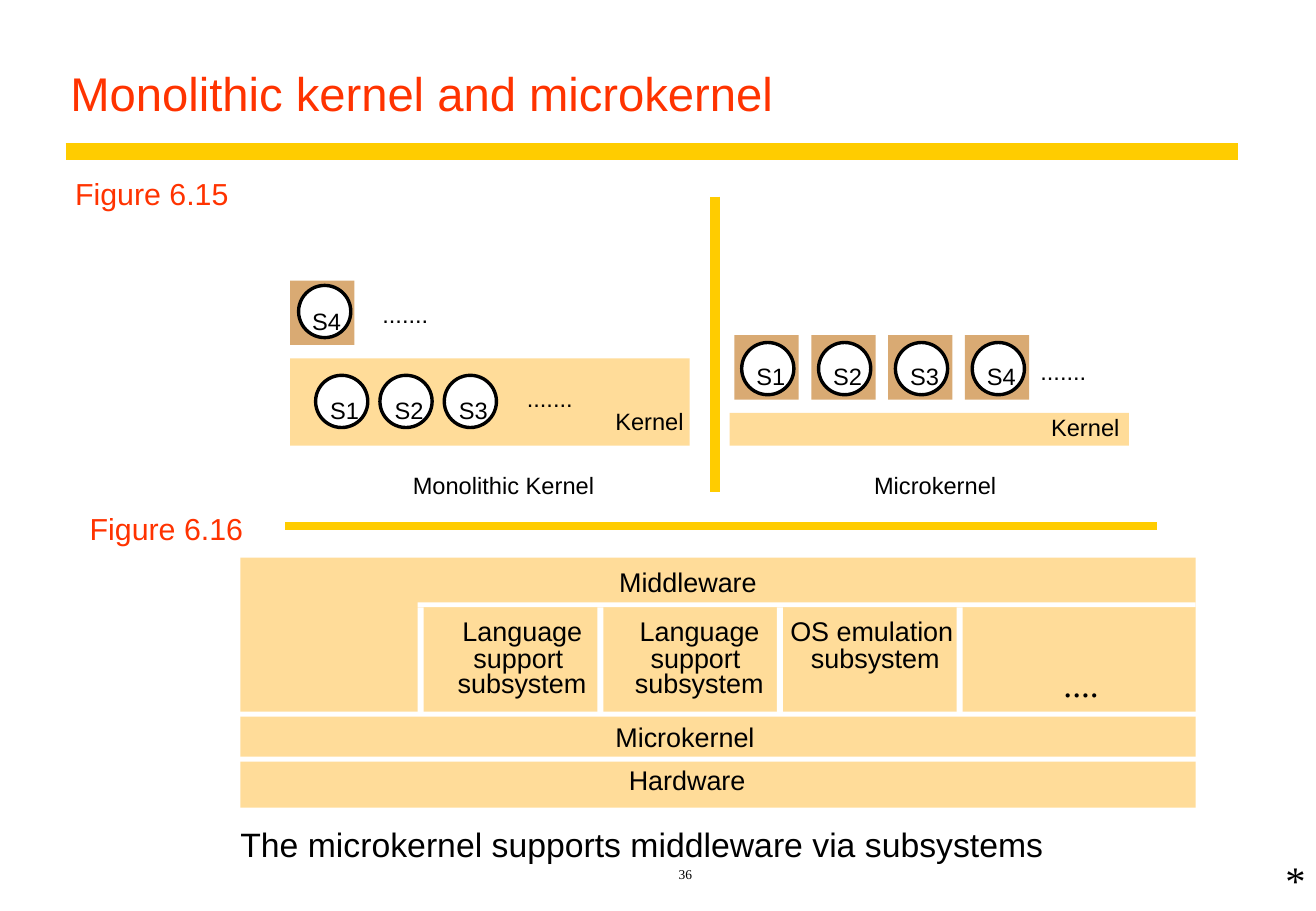
from typing import NamedTuple

from lxml.etree import SubElement
from pptx import Presentation
from pptx.dml.color import RGBColor
from pptx.enum.shapes import MSO_CONNECTOR as Link, MSO_SHAPE as Form
from pptx.enum.text import MSO_ANCHOR as Anchor, MSO_AUTO_SIZE as Fit, PP_ALIGN as Align
from pptx.oxml.ns import qn
from pptx.util import Inches, Pt

RED = RGBColor(0xFF, 0x33, 0x00)
GOLD = RGBColor(0xFF, 0xCC, 0x00)
SAND = RGBColor(0xFF, 0xDC, 0x99)
TAN = RGBColor(0xD9, 0xAA, 0x73)
BLACK = RGBColor(0, 0, 0)
WHITE = RGBColor(0xFF, 0xFF, 0xFF)
SANS, SERIF = "Arial", "Times New Roman"
SLACK = 0.05


class Box(NamedTuple):
    left: float
    top: float
    width: float
    height: float
    fill: RGBColor


class Rule(NamedTuple):
    x1: float
    y1: float
    x2: float
    y2: float
    weight: float


class Label(NamedTuple):
    text: str
    left: float
    top: float
    width: float
    height: float
    size: float = 14
    color: RGBColor = BLACK
    font: str = SANS
    pad: bool = False


class Server(NamedTuple):
    name: str
    left: float
    top: float
    dx: float = 0.12
    dy: float = 0.17


def style(para, size: float, color: RGBColor, font: str) -> None:
    form = {"size": Pt(size), "name": font, "bold": False}
    for key, value in form.items():
        setattr(para.font, key, value)
    para.font.color.rgb = color


def inset(frame, pad: bool) -> None:
    side, edge = (Inches(0.1), Inches(0.05)) if pad else (0, 0)
    form = {"margin_left": side, "margin_right": side,
            "margin_top": edge, "margin_bottom": edge}
    for key, value in form.items():
        setattr(frame, key, value)


def draw_box(shapes, box: Box, form=Form.RECTANGLE):
    shape = shapes.add_shape(form, *map(Inches, box[:4]))
    shape.shadow.inherit = False
    shape.fill.solid()
    shape.fill.fore_color.rgb = box.fill
    shape.line.fill.background()
    return shape


def draw_rule(shapes, rule: Rule) -> None:
    line = shapes.add_connector(Link.STRAIGHT, *map(Inches, rule[:4]))
    line.line.color.rgb = GOLD
    line.line.width = Pt(rule.weight)
    SubElement(line._element.spPr, qn("a:effectLst"))


def draw_label(shapes, label: Label):
    """Add one line of text, with a little slack so that it never breaks."""
    frame = shapes.add_textbox(Inches(label.left), Inches(label.top),
                               Inches(label.width + SLACK),
                               Inches(label.height)).text_frame
    inset(frame, label.pad)
    frame.word_wrap = False
    frame.auto_size = Fit.SHAPE_TO_FIT_TEXT
    para = frame.paragraphs[0]
    para.text = label.text
    para.alignment = Align.LEFT
    style(para, label.size, label.color, label.font)
    return frame


def draw_server(shapes, server: Server) -> None:
    disc = draw_box(shapes, Box(server.left, server.top, 0.43, 0.43, WHITE), Form.OVAL)
    disc.line.color.rgb = BLACK
    disc.line.width = Pt(2)
    draw_label(shapes, Label(server.name, server.left + server.dx,
                             server.top + server.dy, 0.24, 0.23))


MICRO = [6.05 + 0.633 * i for i in range(4)]

BOXES = [
    Box(2.39, 2.31, 0.53, 0.53, TAN),
    *(Box(left, 2.76, 0.53, 0.53, TAN) for left in MICRO),
    Box(2.39, 2.95, 3.29, 0.72, SAND),
    Box(6.01, 3.4, 3.29, 0.27, SAND),
    Box(1.98, 4.59, 7.87, 2.06, SAND),
    *(Box(3.44 + 1.48 * i, 5, 0.05, 0.87, WHITE) for i in range(4)),
    Box(3.44, 4.96, 6.41, 0.04, WHITE),
    Box(1.95, 5.86, 7.96, 0.04, WHITE),
    Box(1.93, 6.23, 7.96, 0.04, WHITE),
]

SERVERS = [
    Server("S4", 2.46, 2.35, 0.11, 0.18),
    *(Server(f"S{i + 1}", 2.6 + 0.53 * i, 3.09) for i in range(3)),
    *(Server(f"S{i + 1}", left + 0.06, 2.82, dy=0.16) for i, left in enumerate(MICRO)),
]

RULES = [
    Rule(0.54, 1.25, 10.2, 1.25, 10),
    Rule(5.89, 1.62, 5.89, 4.05, 6),
    Rule(2.35, 4.33, 9.53, 4.33, 4.5),
]

LABELS = [
    Label("Figure 6.15", 0.52, 1.39, 1.46, 0.4, 18, RED, pad=True),
    Label("Figure 6.16", 0.64, 4.15, 1.46, 0.4, 18, RED, pad=True),
    *(Label(".......", left, top, 0.38, 0.23)
      for left, top in ((3.15, 2.47), (4.34, 3.16), (8.57, 2.94))),
    *(Label("Kernel", left, top, 0.76, 0.34, pad=True)
      for left, top in ((4.97, 3.3), (8.56, 3.35))),
    Label("Monolithic Kernel", 3.4, 3.88, 1.5, 0.23),
    Label("Microkernel", 7.2, 3.88, 1.01, 0.23),
    Label("Middleware", 5.1, 4.66, 1.13, 0.27, 16),
    *(Label(text, left + shift, top, width, 0.27, 16)
      for left in (3.77, 5.23)
      for text, shift, top, width in (("Language", 0.04, 5.06, 0.99),
                                      ("support", 0.13, 5.28, 0.74),
                                      ("subsystem", 0, 5.49, 1.06))),
    Label("OS emulation", 6.51, 5.06, 1.34, 0.27, 16),
    Label("subsystem", 6.68, 5.28, 1.06, 0.27, 16),
    Label("....", 8.76, 5.45, 0.29, 0.35, 21, font=SERIF),
    Label("Microkernel", 5.07, 5.93, 1.15, 0.27, 16),
    Label("Hardware", 5.18, 6.29, 0.96, 0.27, 16),
    Label("The microkernel supports middleware via subsystems",
          1.98, 6.78, 6.62, 0.33, 20),
    Label("*", 10.49, 6.99, 0.3, 0.5, 24, font=SERIF, pad=True),
]


def draw_title(title) -> None:
    place = {"left": 0.48, "top": 0.25, "width": 9.72, "height": 0.8}
    for key, value in place.items():
        setattr(title, key, Inches(value))
    frame = title.text_frame
    inset(frame, True)
    frame.vertical_anchor = Anchor.BOTTOM
    frame.auto_size = Fit.NONE
    para = frame.paragraphs[0]
    para.text = "Monolithic kernel and microkernel"
    para.alignment = Align.LEFT
    para.line_spacing = 0.9
    style(para, 28, RED, SANS)


def draw_number(shapes) -> None:
    frame = draw_label(shapes, Label("36", 2.35, 7, 6.54, 0.31, 8, font=SERIF, pad=True))
    frame.word_wrap = True
    frame.auto_size = Fit.NONE
    frame.vertical_anchor = Anchor.BOTTOM
    frame.paragraphs[0].alignment = Align.CENTER


def main() -> None:
    deck = Presentation()
    deck.slide_width, deck.slide_height = Inches(10.84), Inches(7.5)
    shapes = deck.slides.add_slide(deck.slide_layouts[5]).shapes
    draw_title(shapes.title)
    for draw, items in ((draw_box, BOXES), (draw_server, SERVERS),
                        (draw_rule, RULES), (draw_label, LABELS)):
        for item in items:
            draw(shapes, item)
    draw_number(shapes)
    deck.save("out.pptx")


if __name__ == "__main__":
    main()
